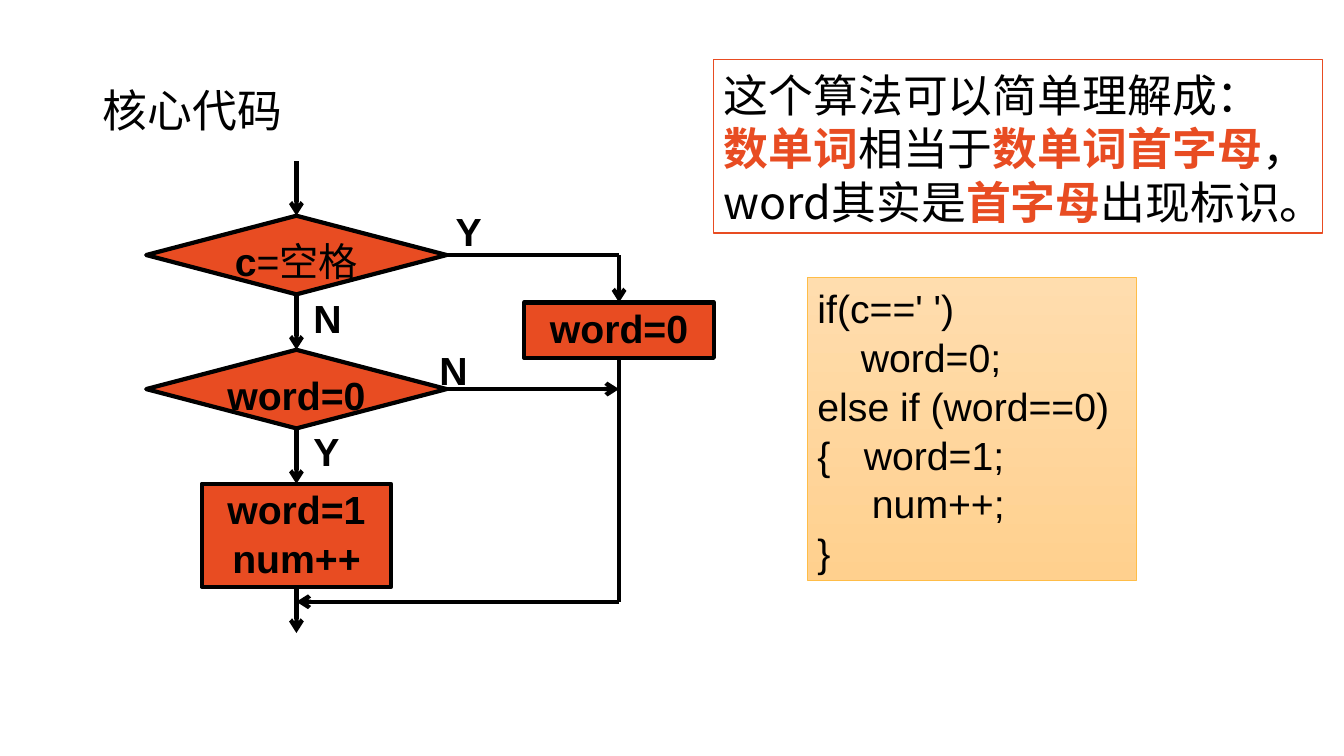
from pptx import Presentation
from pptx import util as u
from pptx.dml.color import RGBColor
from pptx.enum import shapes as sh, text as tx
from pptx.oxml.ns import qn
from lxml import etree

BLACK, RED, WHITE = "000000", "E84C22", "FFFFFF"
LATIN, HAN = "Arial", "Noto Sans CJK SC"


def rgb(code):
    return RGBColor.from_string(code)


def style(run, size, font=LATIN, color=BLACK, bold=False):
    face = run.font
    face.size, face.name, face.bold = u.Pt(size), font, bold
    face.color.rgb = rgb(color)
    east = etree.SubElement(run._r.get_or_add_rPr(), qn("a:ea"))
    east.set("typeface", HAN)


def write(para, parts, size, font=LATIN):
    """Add runs given as (words, color, bold)."""
    for words, color, bold in parts:
        run = para.add_run()
        run.text = words
        style(run, size, font, color, bold)


def box(slide, kind, place, fill, edge, width):
    shape = slide.shapes.add_shape(kind, *map(u.Inches, place))
    shape.shadow.inherit = False
    if fill:
        shape.fill.solid()
        shape.fill.fore_color.rgb = rgb(fill)
    shape.line.color.rgb = rgb(edge)
    shape.line.width = u.Pt(width)
    shape.text_frame.vertical_anchor = tx.MSO_ANCHOR.TOP
    return shape


def node(slide, kind, place, lines):
    """Flowchart step; each line is a list of (words, bold)."""
    shape = box(slide, kind, place, RED, BLACK, 3)
    frame = shape.text_frame
    frame.word_wrap = False
    frame.margin_left = frame.margin_right = 0
    frame.margin_top = frame.margin_bottom = 0
    for i, line in enumerate(lines):
        para = frame.add_paragraph() if i else frame.paragraphs[0]
        para.alignment = tx.PP_ALIGN.CENTER
        para.line_spacing = 1.04
        write(para, [(words, BLACK, bold) for words, bold in line], 28)
    return shape


def link(slide, start, end, arrow=True):
    """Line between two ends, each a point or a (shape, site) pair."""
    fixed = [p if isinstance(p[0], (int, float)) else (0, 0)
             for p in (start, end)]
    line = slide.shapes.add_connector(
        sh.MSO_CONNECTOR.STRAIGHT, *(u.Inches(v) for p in fixed for v in p))
    if not isinstance(start[0], (int, float)):
        line.begin_connect(*start)
    if not isinstance(end[0], (int, float)):
        line.end_connect(*end)
    line.line.color.rgb = rgb(BLACK)
    line.line.width = u.Pt(3)
    if arrow:
        tail = etree.SubElement(line.line._get_or_add_ln(), qn("a:tailEnd"))
        tail.set("type", "arrow")
    etree.SubElement(line._element.spPr, qn("a:effectLst"))


def label(slide, word, left, top):
    area = slide.shapes.add_textbox(
        *map(u.Inches, (left, top, 0.55, 0.57)))
    area.text_frame.word_wrap = True
    para = area.text_frame.paragraphs[0]
    para.line_spacing = 1.04
    write(para, [(word, BLACK, True)], 28)


def title(slide, words):
    head = slide.shapes.title
    head.left, head.top, head.width, head.height = map(
        u.Inches, (0.92, 0.4, 11.5, 1.45))
    frame = head.text_frame
    frame.text = words
    frame.vertical_anchor = tx.MSO_ANCHOR.MIDDLE
    para = frame.paragraphs[0]
    para.alignment = tx.PP_ALIGN.LEFT
    para.line_spacing = 0.9
    style(para.runs[0], 32, HAN)


def chart(slide):
    test, step = (sh.MSO_SHAPE.FLOWCHART_DECISION,
                  sh.MSO_SHAPE.FLOWCHART_PROCESS)
    main, side, merge = 2.94, 6.14, 5.97

    # Steps
    space = node(slide, test, (1.45, 2.14, 2.98, 0.78),
                 [[("c", True), ("=空格", False)]])
    first = node(slide, test, (1.45, 3.47, 2.98, 0.78), [[("word=0", True)]])
    reset = node(slide, step, (5.2, 3, 1.88, 0.55), [[("word=0", True)]])
    count = node(slide, step, (2, 4.8, 1.88, 1.02),
                 [[("word=1", True)], [("num++", True)]])

    # Main path downwards
    link(slide, (main, 1.6), (space, 0))
    link(slide, (space, 2), (first, 0))
    link(slide, (first, 2), (count, 0))
    link(slide, (count, 2), (main, 6.28))

    # Side path and merge
    link(slide, (space, 3), (side, 2.53), arrow=False)
    link(slide, (side, 2.53), (reset, 0))
    link(slide, (first, 3), (side, 3.86))
    link(slide, (reset, 2), (side, merge), arrow=False)
    link(slide, (side, merge), (main, merge))

    # Branch labels
    for word, left, top in (("Y", 4.42, 1.99), ("N", 3.01, 2.85),
                            ("Y", 3.01, 4.17), ("N", 4.26, 3.37)):
        label(slide, word, left, top)


def note(slide):
    shape = box(slide, sh.MSO_SHAPE.RECTANGLE, (7.08, 0.59, 6.04, 1.72),
                WHITE, RED, 1)
    frame = shape.text_frame
    frame.word_wrap = True
    frame.margin_top = u.Inches(0.08)
    lines = [
        [("这个算法可以简单理解成：", BLACK, False)],
        [("数单词", RED, True), ("相当于", BLACK, False),
         ("数单词首字母", RED, True), ("，word其实是", BLACK, False),
         ("首字母", RED, True), ("出现标识。", BLACK, False)],
    ]
    for i, parts in enumerate(lines):
        para = frame.add_paragraph() if i else frame.paragraphs[0]
        para.alignment = tx.PP_ALIGN.LEFT
        para.line_spacing = u.Pt(38.2)
        write(para, parts, 32, HAN)


def code(slide):
    shape = box(slide, sh.MSO_SHAPE.RECTANGLE, (8.01, 2.75, 3.26, 3.01),
                None, "FFBD47", 0.5)
    shape.fill.gradient()
    shape.fill.gradient_angle = 270
    for stop, color, spot in zip(shape.fill.gradient_stops,
                                 ("FFDDAE", "FFD08E"), (0, 1)):
        stop.color.rgb = rgb(color)
        stop.position = spot
    frame = shape.text_frame
    frame.word_wrap = True
    lines = [("if(c==' ')", 0), ("\tword=0;", 0.43),
             ("else if (word==0)", 0), ("{\tword=1;", 0.46),
             ("\tnum++;", 0.54), ("}", 0)]
    for i, (words, stop) in enumerate(lines):
        para = frame.add_paragraph() if i else frame.paragraphs[0]
        para.alignment = tx.PP_ALIGN.LEFT
        para.line_spacing = 1.04
        write(para, [(words, BLACK, False)], 28)
        if stop:
            tabs = etree.SubElement(para._p.get_or_add_pPr(), qn("a:tabLst"))
            tab = etree.SubElement(tabs, qn("a:tab"))
            tab.set("pos", str(u.Inches(stop)))
            tab.set("algn", "l")


def main():
    deck = Presentation()
    deck.slide_width, deck.slide_height = u.Inches(13.33), u.Inches(7.5)
    slide = deck.slides.add_slide(deck.slide_layouts[5])
    title(slide, "核心代码")
    chart(slide)
    note(slide)
    code(slide)
    deck.save("out.pptx")


if __name__ == "__main__":
    main()
